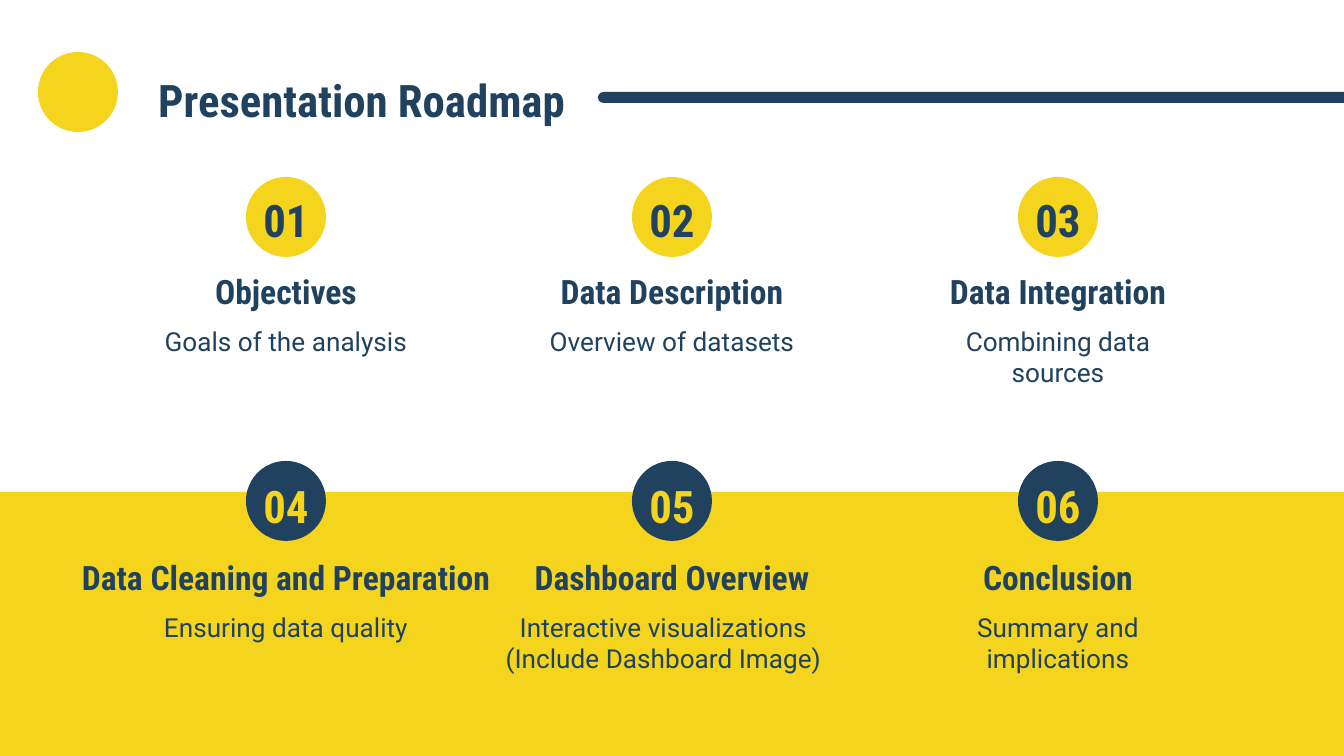
from pptx import Presentation
from pptx.dml.color import RGBColor
from pptx.enum.shapes import MSO_SHAPE
from pptx.enum.text import MSO_ANCHOR, PP_ALIGN
from pptx.util import Emu, Inches, Pt

RECTANGLE = MSO_SHAPE.RECTANGLE
OVAL = MSO_SHAPE.OVAL
ROUNDED = MSO_SHAPE.ROUNDED_RECTANGLE
TOP, BOTTOM = MSO_ANCHOR.TOP, MSO_ANCHOR.BOTTOM
LEFT, CENTER = PP_ALIGN.LEFT, PP_ALIGN.CENTER

EMU_PER_PX = 914400 / 134.4
SLIDE_WIDTH, SLIDE_HEIGHT = 1344, 756
COLORS = {"navy": "21425F", "yellow": "F5D41E"}
HEADING_FONT, BODY_FONT = "Roboto Condensed", "Roboto"

FIRST_CENTER, COLUMN_GAP = 286, 386
CIRCLE_SIZE = 80
STEP_WIDTH = 302

ROWS = [
    {"circle_top": 177, "text_top": 175, "circle": "yellow", "number": "navy"},
    {"circle_top": 461, "text_top": 461, "circle": "navy", "number": "yellow"},
]
STEPS = [
    {"heading": "Objectives", "details": ["Goals of the analysis"]},
    {"heading": "Data Description", "details": ["Overview of datasets"]},
    {"heading": "Data Integration", "details": ["Combining data sources"]},
    {"heading": "Data Cleaning and Preparation", "details": ["Ensuring data quality"],
     "heading_width": 520},
    {"heading": "Dashboard Overview",
     "details": ["Interactive visualizations", "(Include Dashboard Image)"],
     "detail_width": 367, "detail_shift": -9},
    {"heading": "Conclusion", "details": ["Summary and implications"]},
]


def px(length):
    return Emu(round(length * EMU_PER_PX))


def color(name):
    return RGBColor.from_string(COLORS[name])


def add_block(slide, kind, left, top, width, height, fill):
    block = slide.shapes.add_shape(kind, px(left), px(top), px(width), px(height))
    block.shadow.inherit = False
    block.fill.solid()
    block.fill.fore_color.rgb = color(fill)
    block.line.fill.background()
    return block


def add_label(slide, lines, left, top, width, height, size, font=HEADING_FONT,
              bold=True, ink="navy", align=CENTER, anchor=BOTTOM, spacing=None):
    label = slide.shapes.add_textbox(px(left), px(top), px(width), px(height))
    frame = label.text_frame
    frame.word_wrap = True
    frame.vertical_anchor = anchor
    frame.margin_left = frame.margin_right = Inches(0.1)
    frame.margin_top = frame.margin_bottom = Inches(0.1)
    for index, line in enumerate(lines):
        paragraph = frame.add_paragraph() if index else frame.paragraphs[0]
        paragraph.alignment = align
        paragraph.line_spacing = spacing
        run = paragraph.add_run()
        run.text = line
        run.font.name = font
        run.font.size = Pt(size)
        run.font.bold = bold
        run.font.color.rgb = color(ink)


def add_step(slide, index, step):
    row_index, column = divmod(index, 3)
    row = ROWS[row_index]
    center = FIRST_CENTER + column * COLUMN_GAP
    top = row["text_top"]
    heading_width = step.get("heading_width", STEP_WIDTH)
    detail_width = step.get("detail_width", STEP_WIDTH)
    detail_center = center + step.get("detail_shift", 0)

    add_block(slide, OVAL, center - CIRCLE_SIZE // 2, row["circle_top"],
              CIRCLE_SIZE, CIRCLE_SIZE, row["circle"])
    add_label(slide, [step["heading"]], center - heading_width // 2, top + 87,
              heading_width, 62, 18, spacing=0.8)
    add_label(slide, step["details"], detail_center - detail_width // 2, top + 137,
              detail_width, 85, 14, font=BODY_FONT, bold=False, anchor=TOP)
    add_label(slide, [f"{index + 1:02d}"], center - 94, top, 188, 85, 24,
              ink=row["number"])


def add_header(slide):
    add_label(slide, ["Presentation Roadmap"], 145, 59, 624, 85, 24,
              align=LEFT, anchor=TOP)
    add_block(slide, OVAL, 38, 52, CIRCLE_SIZE, CIRCLE_SIZE, "yellow")
    rule = add_block(slide, ROUNDED, 598, 92, 801, 11, "navy")
    rule.adjustments[0] = 0.5


def main():
    presentation = Presentation()
    presentation.slide_width = px(SLIDE_WIDTH)
    presentation.slide_height = px(SLIDE_HEIGHT)
    slide = presentation.slides.add_slide(presentation.slide_layouts[6])
    add_block(slide, RECTANGLE, 0, 492, SLIDE_WIDTH, SLIDE_HEIGHT - 492, "yellow")
    add_header(slide)
    for index, step in enumerate(STEPS):
        add_step(slide, index, step)
    presentation.save("out.pptx")


if __name__ == "__main__":
    main()
